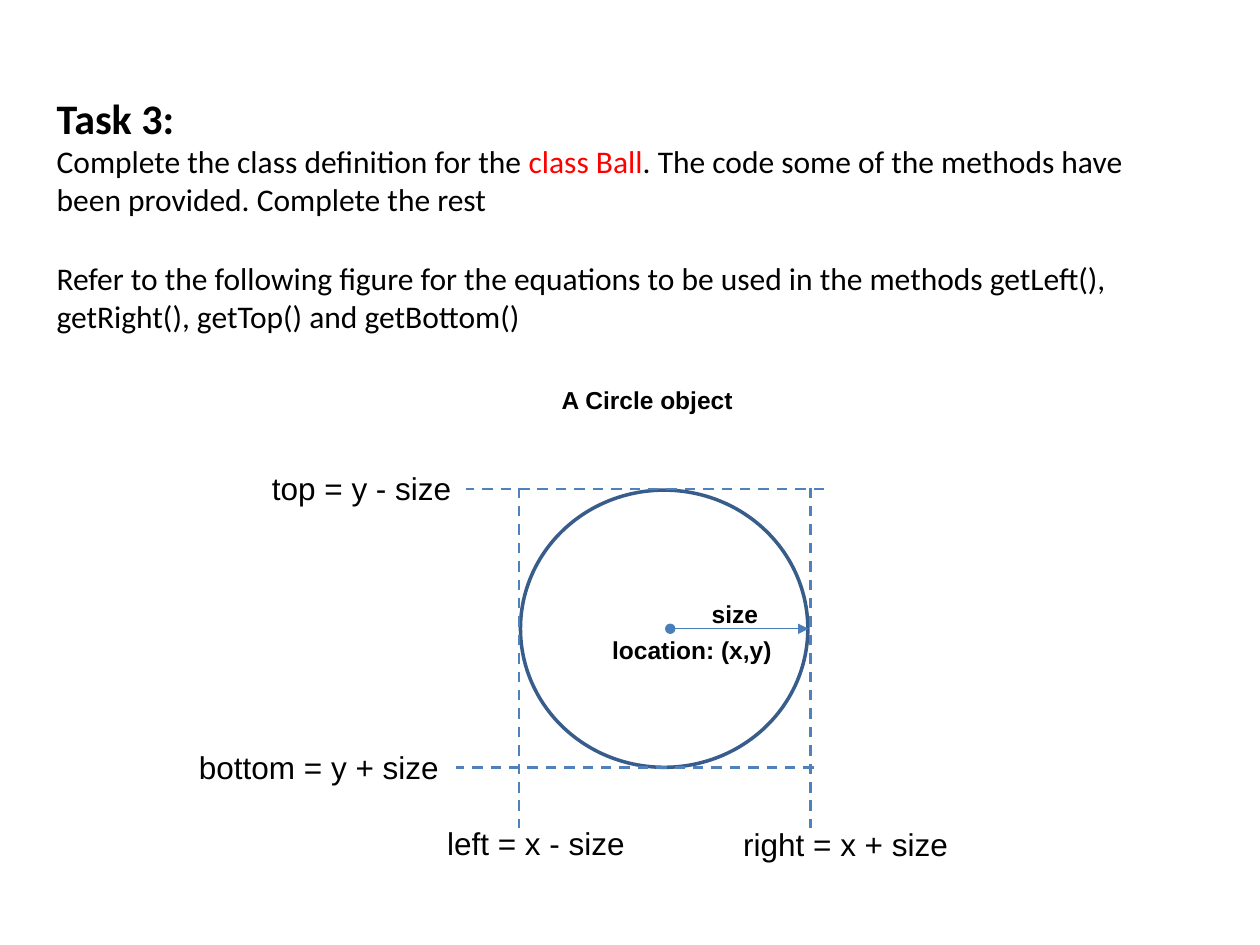
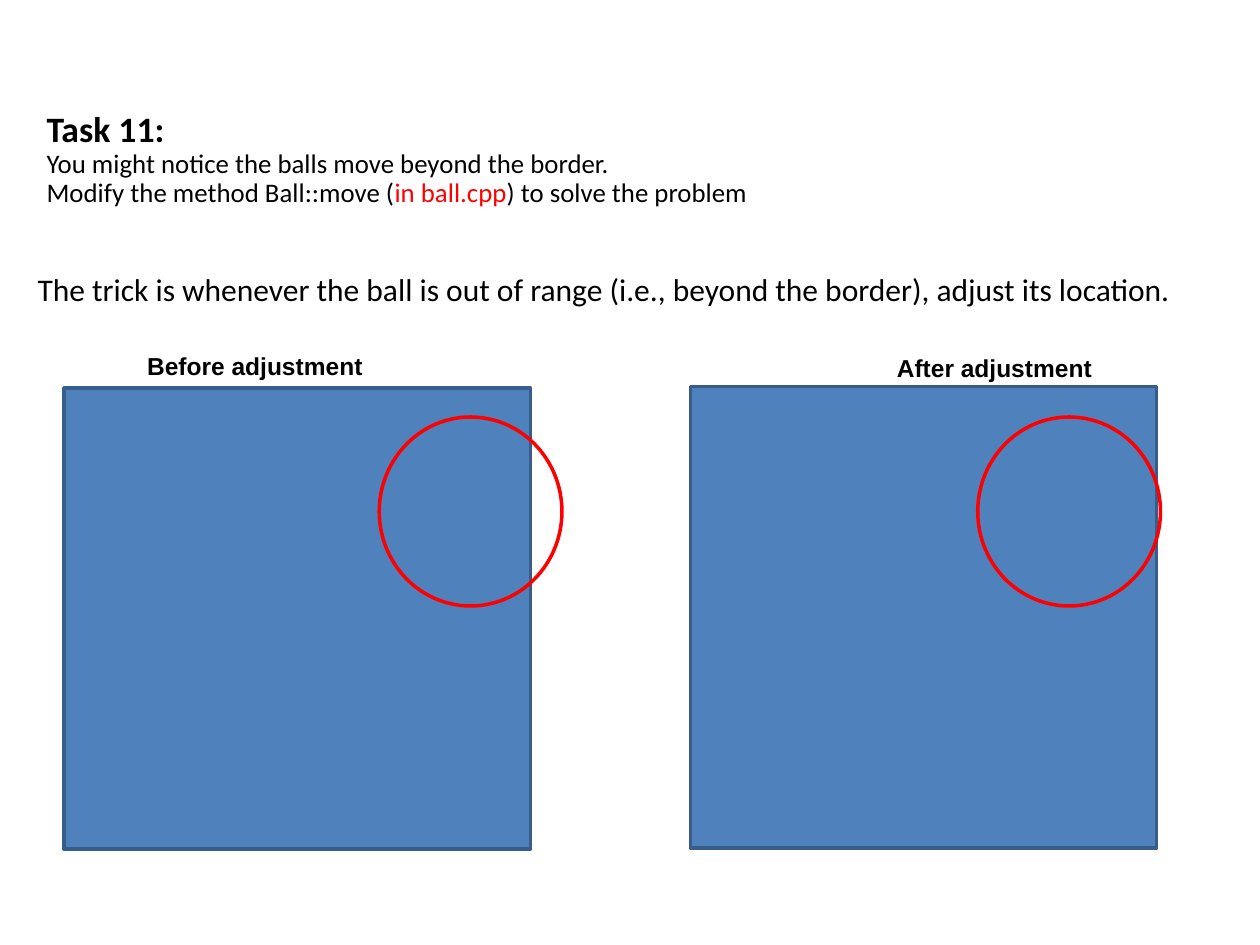
from lxml.etree import SubElement
from pptx import Presentation
from pptx.dml.color import RGBColor
from pptx.enum.dml import MSO_LINE
from pptx.enum.shapes import MSO_CONNECTOR, MSO_SHAPE
from pptx.enum.text import MSO_ANCHOR, MSO_AUTO_SIZE, PP_ALIGN
from pptx.oxml.ns import qn
from pptx.util import Pt

BLACK, RED = "000000", "FF0000"
BLUE, EDGE, ARROW = "4F81BD", "385D8A", "4A7EBB"
BODY = {"name": "Calibri", "size": Pt(18), "bold": False}
LABEL = {"name": "Arial", "size": Pt(18), "bold": False}
CAPTION = {"name": "Arial", "size": Pt(14), "bold": True}
BLOCK = {"word_wrap": True, "auto_size": MSO_AUTO_SIZE.NONE,
         "vertical_anchor": MSO_ANCHOR.MIDDLE}
SNUG = {"word_wrap": True, "auto_size": MSO_AUTO_SIZE.SHAPE_TO_FIT_TEXT,
        "vertical_anchor": MSO_ANCHOR.TOP}
INSET = {"margin_left": Pt(7.2), "margin_right": Pt(7.2),
         "margin_top": Pt(3.6), "margin_bottom": Pt(3.6)}


def tint(code):
    """Turn a hex string into a colour."""
    return RGBColor.from_string(code)


def style(item, values):
    """Set each named value on an item."""
    for name, value in values.items():
        setattr(item, name, value)


def place(shape, box):
    """Move and size a shape to a box in points."""
    sides = ("left", "top", "width", "height")
    style(shape, dict(zip(sides, map(Pt, box))))


def write(shape, lines, frame, space=1.0):
    """Fill a shape with lines of (text, font, colour) runs."""
    body = shape.text_frame
    style(body, frame | INSET)
    for index, line in enumerate(lines):
        para = body.add_paragraph() if index else body.paragraphs[0]
        style(para, {"alignment": PP_ALIGN.LEFT, "line_spacing": space})
        for text, font, color in line:
            run = para.add_run()
            run.text = text
            style(run.font, font)
            run.font.color.rgb = tint(color)


def add_title(slide, box, lines, space=1.0):
    """Place and fill the title."""
    place(slide.shapes.title, box)
    write(slide.shapes.title, lines, BLOCK, space)


def add_text(slide, box, text, font, frame=SNUG):
    """Add a text box with one run."""
    shape = slide.shapes.add_textbox(*map(Pt, box))
    write(shape, [[(text, font, BLACK)]], frame)


def add_form(slide, kind, box, edge, fill=None):
    """Add an outlined shape, filled or hollow."""
    shape = slide.shapes.add_shape(kind, *map(Pt, box))
    shape.shadow.inherit = False
    if fill:
        shape.fill.solid()
        shape.fill.fore_color.rgb = tint(fill)
    else:
        shape.fill.background()
    shape.line.color.rgb = tint(edge)
    shape.line.width = Pt(2)


def add_line(slide, ends, color, width, dash=None, tips=None):
    """Add a straight line with optional dashes and tips."""
    link = slide.shapes.add_connector(MSO_CONNECTOR.STRAIGHT, *map(Pt, ends))
    link.line.color.rgb = tint(color)
    style(link.line, {"width": Pt(width), "dash_style": dash})
    props = link.element.spPr
    for tag, kind in (tips or {}).items():
        SubElement(props.find(qn("a:ln")), qn(tag)).set("type", kind)
    SubElement(props, qn("a:effectLst"))


def draw_circle(slide):
    """Build the task on the edges of a circle."""
    add_title(slide, (25.2, 54.4, 663.1, 68.4), [
        [("Task 3:", BODY | {"size": Pt(24), "bold": True}, BLACK)],
        [("Complete the class definition for the ", BODY, BLACK),
         ("class Ball", BODY, RED),
         (". The code some of the methods have been provided. "
          "Complete the rest", BODY, BLACK)]])
    add_form(slide, MSO_SHAPE.OVAL, (297.4, 280.1, 164.2, 158.4), EDGE)
    add_line(slide, (383, 359.3, 462, 359.3), ARROW, 0.75,
             tips={"a:headEnd": "oval", "a:tailEnd": "triangle"})
    for x in (463, 296.6):
        add_line(slide, (x, 278.6, x, 473), BLUE, 1.5, MSO_LINE.DASH)
    for right, y in ((470.9, 279.4), (465.1, 438.5)):
        add_line(slide, (right, y, right - 204.5, y), BLUE, 1.5, MSO_LINE.DASH)
    for text, left, top, width in (
            ("size", 399.6, 338.7, 46),
            ("location: (x,y)", 342.7, 359.3, 111),
            ("A Circle object", 313.9, 216.3, 117)):
        add_text(slide, (left, top, width, 24.5), text, CAPTION)
    for text, left, top, width in (
            ("right = x + size", 417.6, 467.8, 137),
            ("left = x - size", 248.4, 467.5, 121),
            ("top = y - size", 148.3, 264.5, 122),
            ("bottom = y + size", 106.6, 424.1, 157)):
        add_text(slide, (left, top, width, 28.8), text, LABEL)
    add_text(slide, (25.2, 135.4, 663.1, 68.4),
             "Refer to the following figure for the equations to be used in "
             "the methods getLeft(), getRight(), getTop() and getBottom()",
             BODY, BLOCK)


def draw_border(slide):
    """Build the task on keeping the ball inside."""
    small = BODY | {"size": Pt(15.3)}
    add_title(slide, (19.4, 54.7, 663.1, 73.4), [
        [("Task 11:", BODY | {"size": Pt(20.4), "bold": True}, BLACK)],
        [("You might notice the balls move beyond the border.", small, BLACK)],
        [("Modify the method Ball::move (", small, BLACK),
         ("in ball.cpp", small, RED),
         (") to solve the problem", small, BLACK)]], 0.9)
    add_text(slide, (14.4, 139.7, 663.1, 51.1),
             "The trick is whenever the ball is out of range "
             "(i.e., beyond the border), adjust its location.", BODY, BLOCK)
    for text, label, field, ball in (
            ("Before adjustment", (77, 197.3, 143, 24.5), (36.7, 221.8), 216.7),
            ("After adjustment", (505.4, 198, 131, 24.5), (394.6, 221), 558.7)):
        add_form(slide, MSO_SHAPE.RECTANGLE, (*field, 266.4, 263.5), EDGE, BLUE)
        add_form(slide, MSO_SHAPE.OVAL, (ball, 238.3, 104.4, 108), RED)
        add_text(slide, label, text, CAPTION)


def main():
    """Make the slides and save them."""
    deck = Presentation()
    style(deck, {"slide_width": Pt(720), "slide_height": Pt(540)})
    for draw in (draw_circle, draw_border):
        draw(deck.slides.add_slide(deck.slide_layouts[5]))
    deck.save("out.pptx")


if __name__ == "__main__":
    main()
